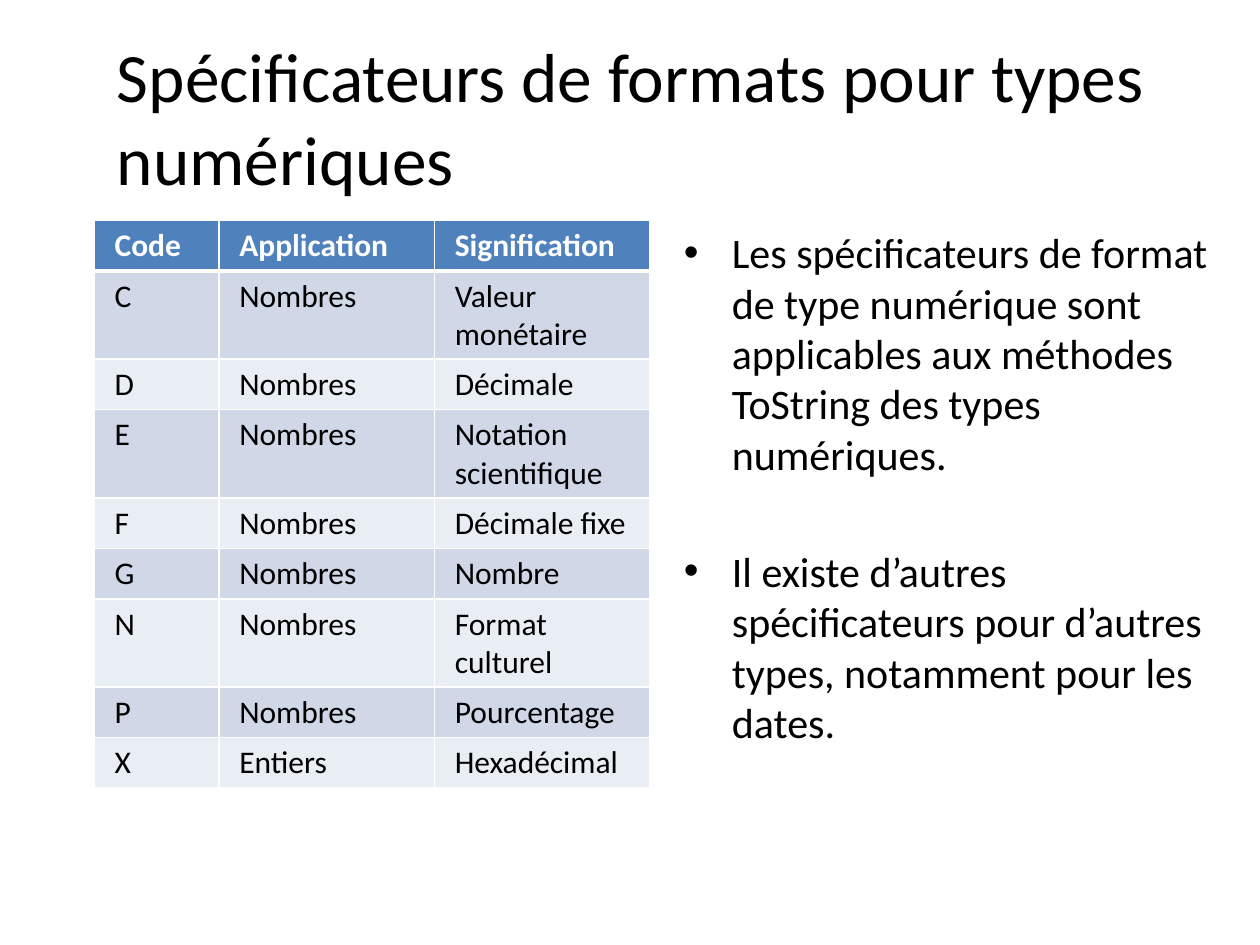
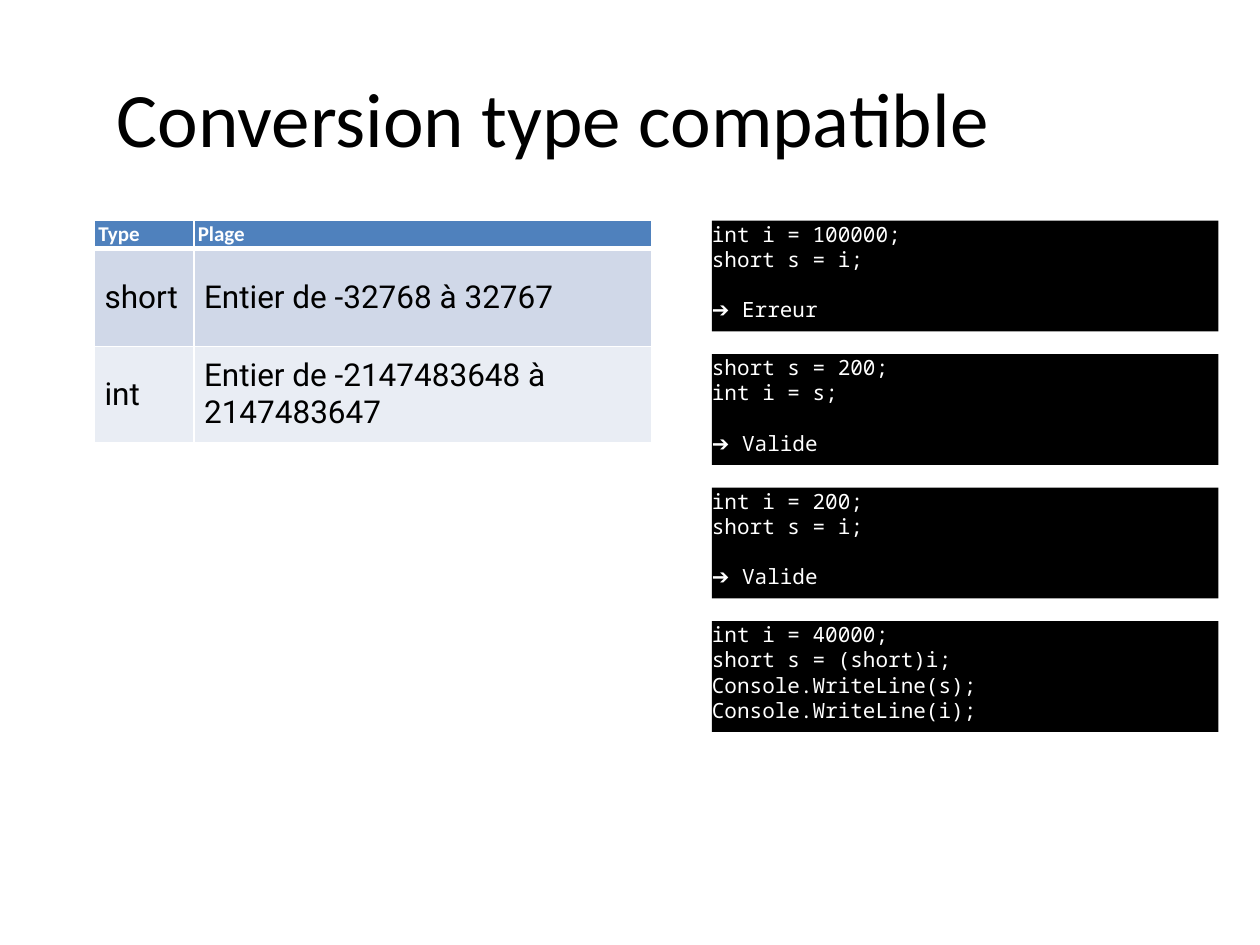
from lxml.etree import SubElement
from pptx import Presentation
from pptx.dml.color import RGBColor
from pptx.enum.shapes import MSO_SHAPE as Shape
from pptx.enum.text import MSO_ANCHOR as Anchor, MSO_AUTO_SIZE as AutoSize, PP_ALIGN as Align
from pptx.oxml.ns import qn
from pptx.util import Inches, Pt

BLACK = RGBColor(0x00, 0x00, 0x00)
WHITE = RGBColor(0xFF, 0xFF, 0xFF)
HEADER_BLUE = RGBColor(0x4F, 0x81, 0xBD)
BANDS = (RGBColor(0xD0, 0xD8, 0xE8), RGBColor(0xE9, 0xED, 0xF4))
MAIN_FONT = "Calibri"
CODE_FONT = "Noto Sans Mono"
CONTENT_TOP = 1.75
CODE_STEP = 1.06

FORMATS = [
    ("Code", "Application", "Signification"),
    ("C", "Nombres", "Valeur monétaire"),
    ("D", "Nombres", "Décimale"),
    ("E", "Nombres", "Notation scientifique"),
    ("F", "Nombres", "Décimale fixe"),
    ("G", "Nombres", "Nombre"),
    ("N", "Nombres", "Format culturel"),
    ("P", "Nombres", "Pourcentage"),
    ("X", "Entiers", "Hexadécimal"),
]
FORMAT_NOTES = [
    "Les spécificateurs de format de type numérique sont applicables aux méthodes "
    "ToString des types numériques.",
    "Il existe d’autres spécificateurs pour d’autres types, notamment pour les dates.",
]
RANGES = [
    ("Type", "Plage"),
    ("short", "Entier de -32768 à 32767"),
    ("int", "Entier de -2147483648 à 2147483647"),
]
CONVERSIONS = [
    (["int i = 100000;", "short s = i;"], "➔ Erreur"),
    (["short s = 200;", "int i = s;"], "➔ Valide"),
    (["int i = 200;", "short s = i;"], "➔ Valide"),
    (["int i = 40000;", "short s = (short)i;", "Console.WriteLine(s);",
      "Console.WriteLine(i);"], None),
]


class Deck:
    def __init__(self):
        self.presentation = Presentation()
        self.presentation.slide_width = Inches(10)
        self.presentation.slide_height = Inches(7.5)
        self.slide = None

    def new_slide(self, title, size):
        layout = self.presentation.slide_layouts[6]
        self.slide = self.presentation.slides.add_slide(layout)
        frame = self.text_frame(0.83, 0.3, 8.83, 1.25)
        frame.vertical_anchor = Anchor.MIDDLE
        self.set_text(frame.paragraphs[0], title, size)

    def text_frame(self, left, top, width, height):
        box = self.slide.shapes.add_textbox(
            Inches(left), Inches(top), Inches(width), Inches(height))
        box.text_frame.word_wrap = True
        return box.text_frame

    def set_text(self, paragraph, text, size, color=BLACK, font=MAIN_FONT, bold=False):
        paragraph.text = text
        paragraph.alignment = Align.LEFT
        paragraph.font.size = Pt(size)
        paragraph.font.name = font
        paragraph.font.bold = bold
        paragraph.font.color.rgb = color

    def paragraphs(self, frame, texts):
        for index, text in enumerate(texts):
            yield (frame.add_paragraph() if index else frame.paragraphs[0]), text

    def bullets(self, texts, gap):
        frame = self.text_frame(5.33, CONTENT_TOP, 4.42, 4.95)
        for paragraph, text in self.paragraphs(frame, texts):
            self.set_text(paragraph, text, 24)
            paragraph.space_before = Pt(gap if text != texts[0] else 4.8)
            properties = paragraph._p.get_or_add_pPr()
            properties.set("marL", str(Inches(0.38)))
            properties.set("indent", str(-Inches(0.38)))
            bullet_font = properties.makeelement(qn("a:buFont"), {"typeface": "Arial"})
            bullet = properties.makeelement(qn("a:buChar"), {"char": "•"})
            properties.insert_element_before(bullet_font, "a:tabLst", "a:defRPr", "a:extLst")
            bullet_font.addnext(bullet)

    def borders(self, cell, top, bottom):
        properties = cell._tc.get_or_add_tcPr()
        for side, width in (("lnL", 1), ("lnR", 1), ("lnT", top), ("lnB", bottom)):
            line = SubElement(properties, qn(f"a:{side}"), w=str(Pt(width)))
            fill = SubElement(line, qn("a:solidFill"))
            SubElement(fill, qn("a:srgbClr"), val=str(WHITE))

    def table(self, rows, widths, heights, header_size, header_margins,
              body_margins, body_font=MAIN_FONT, anchor=Anchor.TOP):
        table = self.slide.shapes.add_table(
            len(rows), len(widths), Inches(0.75), Inches(CONTENT_TOP),
            Inches(sum(widths)), Inches(sum(heights))).table
        for column, width in zip(table.columns, widths):
            column.width = Inches(width)
        for row_index, (row, height) in enumerate(zip(rows, heights)):
            header = row_index == 0
            table.rows[row_index].height = Inches(height)
            side, edge = header_margins if header else body_margins
            for column_index, text in enumerate(row):
                cell = table.cell(row_index, column_index)
                cell.margin_left = cell.margin_right = Inches(side)
                cell.margin_top = cell.margin_bottom = Inches(edge)
                cell.vertical_anchor = anchor
                self.borders(cell, 3 if row_index == 1 else 1, 3 if header else 1)
                cell.fill.solid()
                cell.fill.fore_color.rgb = HEADER_BLUE if header else BANDS[(row_index - 1) % 2]
                self.set_text(cell.text_frame.paragraphs[0], text,
                              header_size if header else 18, WHITE if header else BLACK,
                              MAIN_FONT if header else body_font, header)

    def code(self, top, lines, result):
        panel = self.slide.shapes.add_shape(
            Shape.RECTANGLE, Inches(5.65), Inches(top), Inches(4.02), Inches(0.88))
        panel.shadow.inherit = False
        panel.fill.solid()
        panel.fill.fore_color.rgb = BLACK
        panel.line.fill.background()
        frame = panel.text_frame
        frame.word_wrap = True
        frame.auto_size = AutoSize.SHAPE_TO_FIT_TEXT
        frame.vertical_anchor = Anchor.MIDDLE
        frame.margin_left = frame.margin_right = frame.margin_top = 0
        frame.margin_bottom = Inches(0.07)
        texts = lines + [result] if result else lines
        for paragraph, text in self.paragraphs(frame, texts):
            self.set_text(paragraph, text, 12, WHITE, CODE_FONT)
            if text == result:
                paragraph.space_before = Pt(14.5)


def main():
    deck = Deck()

    deck.new_slide("Spécificateurs de formats pour types numériques", 39.6)
    deck.table(FORMATS, (0.99, 1.71, 1.71), [0.4] * len(FORMATS), 18,
               header_margins=(0.16, 0.05), body_margins=(0.16, 0.05))
    deck.bullets(FORMAT_NOTES, gap=38)

    deck.new_slide("Conversion type compatible", 44)
    deck.table(RANGES, (0.79, 3.63), (0.22, 0.78, 0.7), 12,
               header_margins=(0.03, 0.01), body_margins=(0.08, 0.08),
               body_font="Roboto", anchor=Anchor.MIDDLE)
    for index, (lines, result) in enumerate(CONVERSIONS):
        deck.code(CONTENT_TOP + index * CODE_STEP, lines, result)

    deck.presentation.save("out.pptx")


if __name__ == "__main__":
    main()
